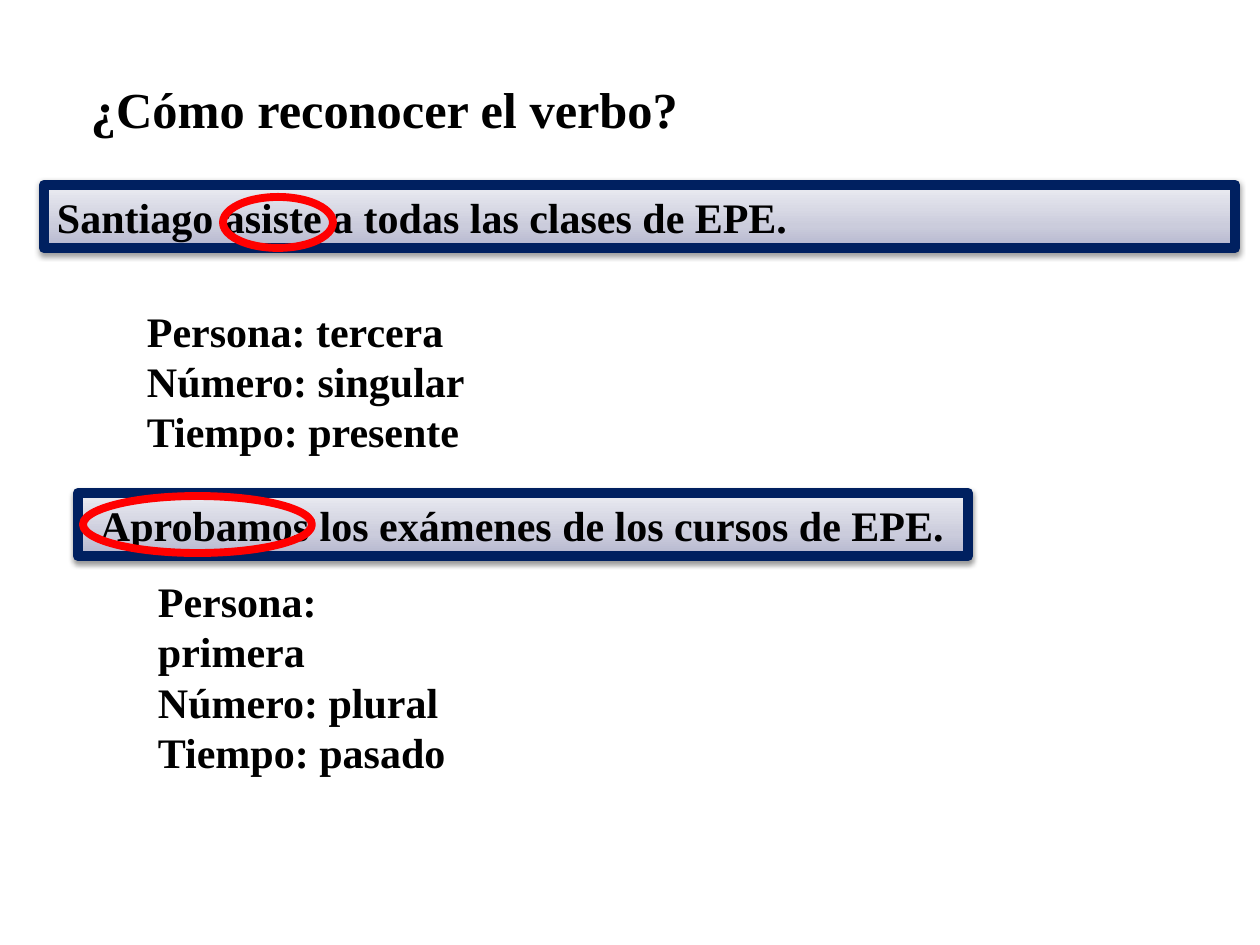
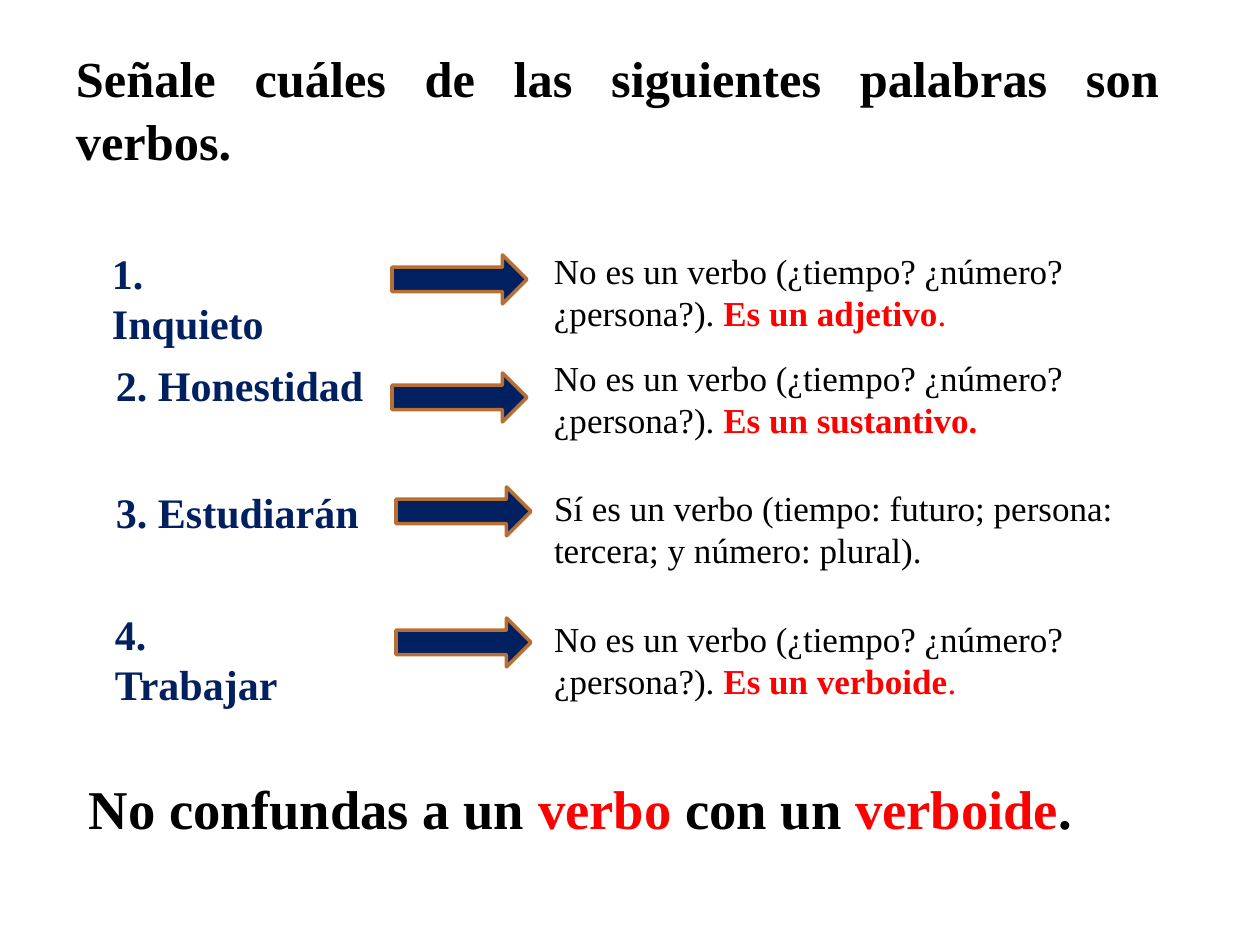
from pptx import Presentation
from pptx.dml.color import RGBColor
from pptx.enum.shapes import MSO_SHAPE
from pptx.enum.text import MSO_ANCHOR, PP_ALIGN
from pptx.oxml import parse_xml
from pptx.oxml.ns import nsdecls
from pptx.util import Pt

RECT, OVAL, ARROW = MSO_SHAPE.RECTANGLE, MSO_SHAPE.OVAL, MSO_SHAPE.RIGHT_ARROW
TOP, MIDDLE = MSO_ANCHOR.TOP, MSO_ANCHOR.MIDDLE
LEFT, JUSTIFY = PP_ALIGN.LEFT, PP_ALIGN.JUSTIFY

FONT = "Times New Roman"
BLACK, NAVY, RED, BROWN = "000000", "002060", "FF0000", "B76F34"
BAND_STOPS = [(0, "B4B6CE"), (35, "CBCCDC"), (100, "EBECF2")]

BODY = {"size": 24, "bold": True}
LABEL = {"size": 24, "bold": True, "color": NAVY}
ANSWER = {"size": 20}
TITLE = {"size": 28.8, "bold": True}
CLOSING = {"size": 31.2, "bold": True}
KEY = {"color": RED, "bold": True}

# Boxes are (left, top, width, height) in px
VERB_TITLE = ("¿Cómo reconocer el verbo?", (78, 69, 1099, 76))
EXAMPLES = [
    {"sentence": "Santiago asiste a todas las clases de EPE.",
     "band": (44, 185, 1191, 63), "inset": 13, "ring": (223, 197, 110, 51),
     "features": ["Persona: tercera", "Número: singular", "Tiempo: presente"],
     "features_box": (134, 299, 344, 217)},
    {"sentence": "Aprobamos los exámenes de los cursos de EPE.",
     "band": (78, 493, 890, 63), "inset": 22, "ring": (83, 496, 229, 57),
     "features": ["Persona: primera", "Número: plural", "Tiempo: pasado"],
     "features_box": (145, 569, 331, 208)},
]

EXERCISE_TITLE = ("Señale cuáles de las siguientes palabras son verbos.",
                  (63, 39, 1109, 137))
NOT_VERB = "No es un verbo (¿tiempo? ¿número? ¿persona?). "
# word, its box, arrow (left, top), answer runs, answer (top, width)
WORDS = [
    ("1. Inquieto", (99, 241, 214, 63), (392, 255),
     [(NOT_VERB, {}), ("Es un adjetivo", KEY), (".", {"color": RED})], (243, 704)),
    ("2. Honestidad", (103, 353, 279, 63), (392, 373),
     [(NOT_VERB, {}), ("Es un sustantivo.", KEY)], (350, 665)),
    ("3. Estudiarán", (103, 480, 333, 63), (396, 487),
     [("Sí es un verbo (tiempo: futuro; persona: tercera; y número: plural).", {})],
     (480, 674)),
    ("4. Trabajar", (102, 602, 214, 63), (396, 618),
     [(NOT_VERB, {}), ("Es un verboide", KEY), (".", {"color": RED})], (611, 684)),
]
ARROW_SIZE = (135, 49)
ANSWER_LEFT, ANSWER_HEIGHT = 541, 97
WARNING = [("No confundas a un ", {}), ("verbo", KEY), (" con un ", {}),
           ("verboide", KEY), (".", {})]
WARNING_BOX = (76, 769, 1109, 132)


def px(n):
    return round(n * 914400 / 126)


def rgb(value):
    return RGBColor.from_string(value)


def write(sp, paragraphs, style, align=LEFT, anchor=TOP, inset=13, spacing=None):
    """Fill a shape with paragraphs, each a list of (text, format) runs."""
    tf = sp.text_frame
    frame = {"word_wrap": True, "vertical_anchor": anchor, "margin_left": px(inset)}
    for name, value in frame.items():
        setattr(tf, name, value)
    for i, runs in enumerate(paragraphs):
        p = tf.add_paragraph() if i else tf.paragraphs[0]
        p.alignment = align
        if spacing:
            p.line_spacing = spacing
        for text, extra in runs:
            r = p.add_run()
            r.text = text
            look = {"color": BLACK, "bold": False, **style, **extra}
            r.font.color.rgb = rgb(look["color"])
            font = {"name": FONT, "size": Pt(look["size"]), "bold": look["bold"]}
            for name, value in font.items():
                setattr(r.font, name, value)


def add_text(s, box, paragraphs, style, **layout):
    write(s.shapes.add_textbox(*map(px, box)), paragraphs, style, **layout)


def add_title(s, text, box):
    add_text(s, box, [[(text, {})]], TITLE, align=JUSTIFY, anchor=MIDDLE, spacing=1.05)


def add_outlined(s, kind, box, line, width, fill=None):
    sp = s.shapes.add_shape(kind, *map(px, box))
    sp.shadow.inherit = False
    sp.line.color.rgb = rgb(line)
    sp.line.width = Pt(width)
    if fill:
        sp.fill.solid()
        sp.fill.fore_color.rgb = rgb(fill)
    else:
        sp.fill.background()
    return sp


def add_band(s, box):
    """Navy frame with a vertical gradient and a soft shadow below."""
    sp = add_outlined(s, RECT, box, NAVY, 6)
    stops = "".join(f'<a:gs pos="{pos * 1000}"><a:srgbClr val="{color}"/></a:gs>'
                    for pos, color in BAND_STOPS)
    spPr = sp._element.spPr
    no_fill = spPr.find("{*}noFill")
    spPr.replace(no_fill, parse_xml(
        f'<a:gradFill {nsdecls("a")} rotWithShape="1"><a:gsLst>{stops}</a:gsLst>'
        '<a:lin ang="16200000" scaled="0"/></a:gradFill>'))
    spPr.find("{*}effectLst").append(parse_xml(
        f'<a:outerShdw {nsdecls("a")} blurRad="{Pt(3.1)}" dist="{Pt(1.6)}" '
        'dir="5400000" rotWithShape="0"><a:srgbClr val="000000">'
        '<a:alpha val="38000"/></a:srgbClr></a:outerShdw>'))
    return sp


def build_recognise(s):
    add_title(s, *VERB_TITLE)
    for ex in EXAMPLES:
        write(add_band(s, ex["band"]), [[(ex["sentence"], {})]], BODY,
              inset=ex["inset"])
        add_text(s, ex["features_box"], [[(t, {})] for t in ex["features"]], BODY)
        add_outlined(s, OVAL, ex["ring"], RED, 4.5)


def build_exercise(s):
    add_title(s, *EXERCISE_TITLE)
    for word, word_box, arrow_at, answer, (top, width) in WORDS:
        add_text(s, word_box, [[(word, {})]], LABEL)
        add_outlined(s, ARROW, arrow_at + ARROW_SIZE, BROWN, 2, NAVY)
        add_text(s, (ANSWER_LEFT, top, width, ANSWER_HEIGHT), [answer], ANSWER)
    add_text(s, WARNING_BOX, [WARNING], CLOSING, align=JUSTIFY)


def main():
    prs = Presentation()
    prs.slide_width, prs.slide_height = px(1260), px(945)
    for build in (build_recognise, build_exercise):
        build(prs.slides.add_slide(prs.slide_layouts[6]))
    prs.save("out.pptx")


if __name__ == "__main__":
    main()
